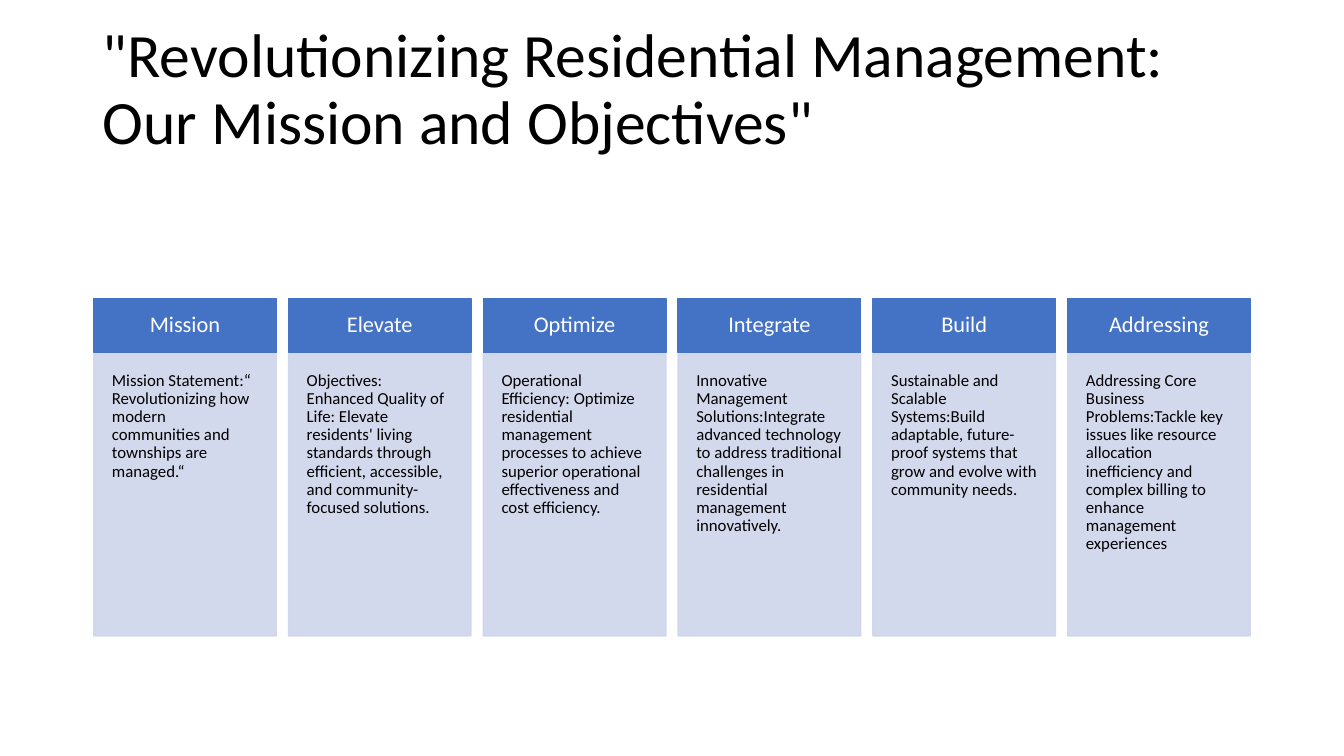
"""Build the mission and objectives slide: a title above six headed columns."""
from lxml import etree
from pptx import Presentation
from pptx.dml import color
from pptx.enum import shapes, text
from pptx.oxml import ns
from pptx.util import Inches, Pt


def rgb(value):
    return color.RGBColor.from_string(value)


def write(shape, content, size, ink="000000", align="LEFT", anchor="MIDDLE",
          margins=(0.1, 0.05)):
    frame = shape.text_frame
    frame.word_wrap = True
    frame.auto_size = text.MSO_AUTO_SIZE.NONE
    frame.vertical_anchor = text.MSO_ANCHOR[anchor]
    frame.margin_left = frame.margin_right = Inches(margins[0])
    frame.margin_top = frame.margin_bottom = Inches(margins[1])
    paragraph = frame.paragraphs[0]
    paragraph.alignment = text.PP_ALIGN[align]
    paragraph.line_spacing = 0.9
    run = paragraph.add_run()
    run.text = content
    run.font.name = "Calibri"
    run.font.size = Pt(size)
    run.font.color.rgb = rgb(ink)


columns = [
    ("Mission", "Mission Statement:“ Revolutionizing how modern communities and "
     "townships are managed.“"),
    ("Elevate", "Objectives: Enhanced Quality of Life: Elevate residents' living "
     "standards through efficient, accessible, and community-focused solutions."),
    ("Optimize", "Operational Efficiency: Optimize residential management processes "
     "to achieve superior operational effectiveness and cost efficiency."),
    ("Integrate", "Innovative Management Solutions:Integrate advanced technology to "
     "address traditional challenges in residential management innovatively."),
    ("Build", "Sustainable and Scalable Systems:Build adaptable, future-proof "
     "systems that grow and evolve with community needs."),
    ("Addressing", "Addressing Core Business Problems:Tackle key issues like resource "
     "allocation inefficiency and complex billing to enhance management experiences"),
]
first_left, last_left, column_width = 0.93, 10.59, 1.81
pitch = (last_left - first_left) / (len(columns) - 1)

presentation = Presentation()
presentation.slide_width = Inches(13.33)
presentation.slide_height = Inches(7.5)
slide = presentation.slides.add_slide(presentation.slide_layouts[5])

title = slide.shapes.title
title.left, title.top = Inches(0.92), Inches(0.18)
title.width, title.height = Inches(11.5), Inches(1.45)
write(title, '"Revolutionizing Residential Management: Our Mission and Objectives"', 44)

for index, (heading, description) in enumerate(columns):
    left = first_left + index * pitch
    header, body = [
        slide.shapes.add_shape(shapes.MSO_SHAPE.RECTANGLE, Inches(left), Inches(top),
                               Inches(column_width), Inches(height))
        for top, height in ((2.96, 0.54), (3.51, 2.8))
    ]
    for shape, tint in ((header, "4472C4"), (body, "CFD5EA")):
        shape.shadow.inherit = False
        shape.fill.solid()
        shape.fill.fore_color.rgb = rgb(tint)
        shape.line.color.rgb = rgb(tint)
        shape.line.width = Pt(1)
    for swatch in body.element.spPr.iter(ns.qn("a:srgbClr")):
        etree.SubElement(swatch, ns.qn("a:alpha"), val="90000")
    write(header, heading, 16, ink="FFFFFF", align="CENTER", margins=(0.14, 0.14))
    write(body, description, 12, anchor="TOP", margins=(0.18, 0.18))

presentation.save("out.pptx")
